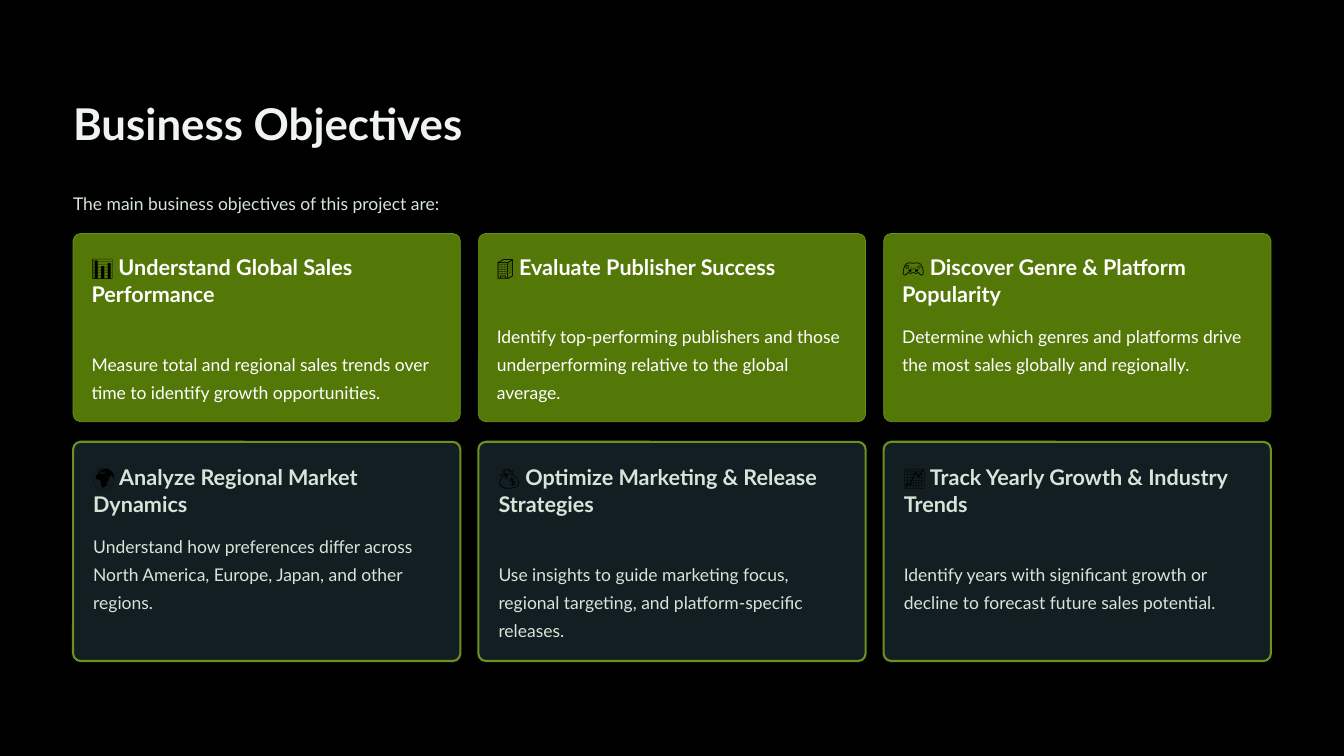
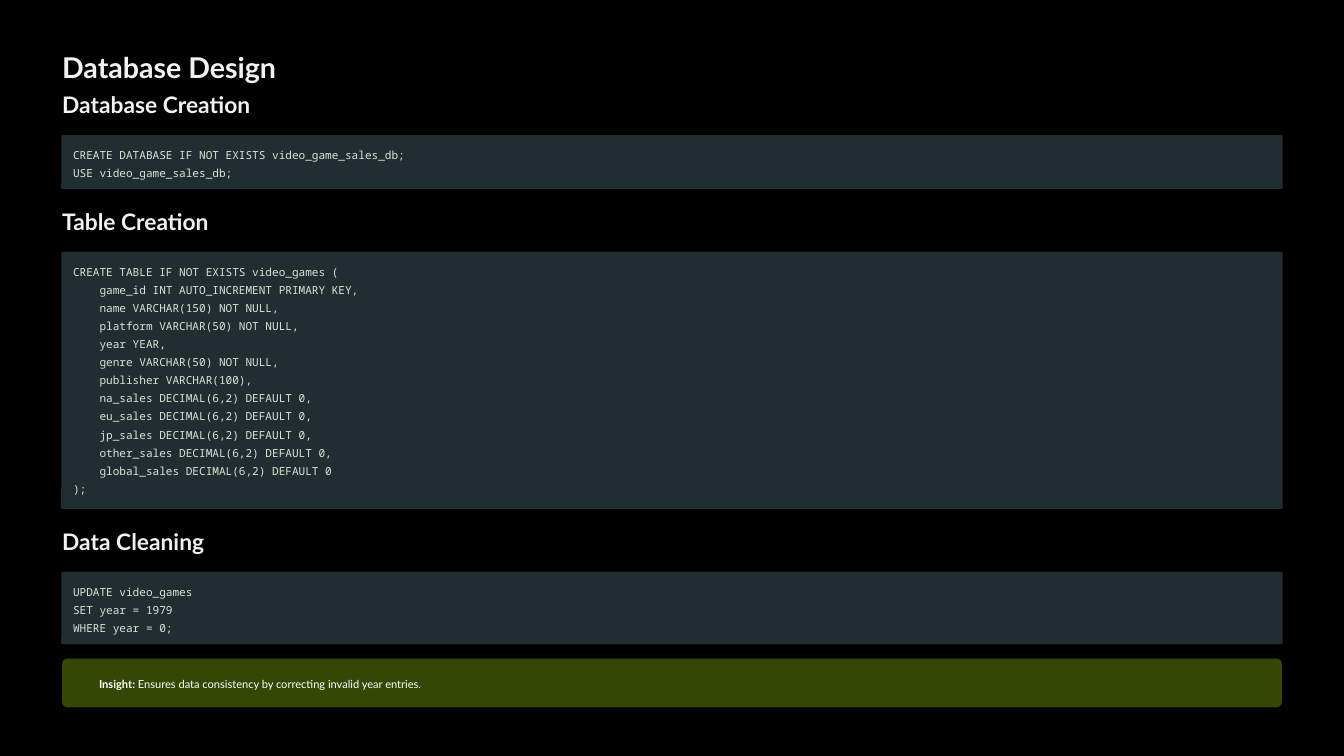
"""Build the business objectives and database design slides."""
from typing import NamedTuple

from lxml.etree import SubElement
from pptx import Presentation
from pptx.dml.color import RGBColor
from pptx.enum.shapes import MSO_SHAPE
from pptx.oxml.ns import qn
from pptx.util import Inches, Pt

COLORS = {
    "background": "000000", "title": "F0F4F1", "text": "D7E5D8", "white": "FFFFFF",
    "icon": "000000", "green": "547808", "border": "6D9121", "dark": "152025",
    "code": "222D32", "insight": "334805",
}
MARGIN, CONTENT_W = 0.87, 14.26
CARD_W, CARD_RADIUS = 4.61, 0.09
PANEL_X, PANEL_W, PANEL_RADIUS = 0.74, 14.52, 0.06
CODE_LINE_H, CODE_PAD = 0.22, 0.1


class Style(NamedTuple):
    """Font and line spacing of a kind of text."""
    size: float
    spacing: float
    bold: bool = False
    font: str = "Lato"


class Segment(NamedTuple):
    """Stretch of text that differs from its paragraph."""
    text: str
    color: str
    bold: bool | None = None


class Card(NamedTuple):
    """Objective with its icon, heading, heading height and description."""
    icon: str
    heading: str
    heading_h: float
    body: str


class CardRow(NamedTuple):
    """Row of cards that share one look."""
    top: float
    height: float
    pad: float
    fill: str
    opacity: int
    line_w: float
    color: str
    cards: list[Card]


class CodeSection(NamedTuple):
    """Heading with the code beneath it."""
    heading: str
    heading_w: float
    code: str


TITLE = Style(37.5, 47, True)
BODY = Style(15, 24)
CARD_HEADING = Style(18.5, 23.5, True)
SMALL_TITLE = Style(24.5, 30.5, True)
SECTION = Style(19.5, 24.5, True)
CODE = Style(9.5, 15.5, font="Noto Sans Mono")
INSIGHT = Style(9.5, 15.5)

CARD_ROWS = [
    CardRow(2.78, 2.24, 0.22, "green", 100, 0.6, "white", [
        Card("📊", "Understand Global Sales Performance", 1,
             "Measure total and regional sales trends over time to identify growth opportunities."),
        Card("🏢", "Evaluate Publisher Success", 0.67,
             "Identify top-performing publishers and those underperforming relative to the global average."),
        Card("🎮", "Discover Genre & Platform Popularity", 0.67,
             "Determine which genres and platforms drive the most sales globally and regionally."),
    ]),
    CardRow(5.26, 2.61, 0.24, "dark", 95, 1.8, "text", [
        Card("🌍", "Analyze Regional Market Dynamics", 0.67,
             "Understand how preferences differ across North America, Europe, Japan, and other regions."),
        Card("💰", "Optimize Marketing & Release Strategies", 1,
             "Use insights to guide marketing focus, regional targeting, and platform-specific releases."),
        Card("📈", "Track Yearly Growth & Industry Trends", 1,
             "Identify years with significant growth or decline to forecast future sales potential."),
    ]),
]

CODE_SECTIONS = [
    CodeSection("Database Creation", 4.19, """\
CREATE DATABASE IF NOT EXISTS video_game_sales_db;
USE video_game_sales_db;"""),
    CodeSection("Table Creation", 3.23, """\
CREATE TABLE IF NOT EXISTS video_games (
    game_id INT AUTO_INCREMENT PRIMARY KEY,
    name VARCHAR(150) NOT NULL,
    platform VARCHAR(50) NOT NULL,
    year YEAR,
    genre VARCHAR(50) NOT NULL,
    publisher VARCHAR(100),
    na_sales DECIMAL(6,2) DEFAULT 0,
    eu_sales DECIMAL(6,2) DEFAULT 0,
    jp_sales DECIMAL(6,2) DEFAULT 0,
    other_sales DECIMAL(6,2) DEFAULT 0,
    global_sales DECIMAL(6,2) DEFAULT 0
);"""),
    CodeSection("Data Cleaning", 3.13, """\
UPDATE video_games
SET year = 1979
WHERE year = 0;"""),
]


def rgb(name: str) -> RGBColor:
    """Look up a named colour."""
    return RGBColor.from_string(COLORS[name])


def add_slide(prs):
    """Add a blank slide with the shared background."""
    s = prs.slides.add_slide(prs.slide_layouts[6])
    s.background.fill.solid()
    s.background.fill.fore_color.rgb = rgb("background")
    return s


def add_text(s, x: float, y: float, w: float, h: float, style: Style,
             paragraphs: list[list[Segment]], wrap: bool = True) -> None:
    """Add a text box without insets."""
    tf = s.shapes.add_textbox(Inches(x), Inches(y), Inches(w), Inches(h)).text_frame
    tf.margin_left = tf.margin_top = tf.margin_right = tf.margin_bottom = 0
    tf.word_wrap = wrap
    for i, segments in enumerate(paragraphs):
        p = tf.add_paragraph() if i else tf.paragraphs[0]
        p.line_spacing = Pt(style.spacing)
        p.font.name, p.font.size, p.font.bold = style.font, Pt(style.size), style.bold
        for segment in segments:
            r = p.add_run()
            r.text = segment.text
            r.font.color.rgb = rgb(segment.color)
            if segment.bold is not None:
                r.font.bold = segment.bold


def add_panel(s, x: float, y: float, w: float, h: float, radius: float, fill: str,
              line_w: float = 0, opacity: int = 100) -> None:
    """Add a rounded panel with an optional border."""
    sp = s.shapes.add_shape(MSO_SHAPE.ROUNDED_RECTANGLE,
                            Inches(x), Inches(y), Inches(w), Inches(h))
    sp.adjustments[0] = radius / h
    sp.shadow.inherit = False
    sp.fill.solid()
    sp.fill.fore_color.rgb = rgb(fill)
    if opacity < 100:
        color = sp.fill._xPr.find(f"{qn('a:solidFill')}/{qn('a:srgbClr')}")
        SubElement(color, qn("a:alpha"), val=str(opacity * 1000))
    if line_w:
        sp.line.color.rgb = rgb("border")
        sp.line.width = Pt(line_w)
    else:
        sp.line.fill.background()


def add_card(s, x: float, row: CardRow, card: Card) -> None:
    """Draw one objective card."""
    add_panel(s, x, row.top, CARD_W, row.height, CARD_RADIUS, row.fill, row.line_w, row.opacity)
    left, top, w = x + row.pad, row.top + row.pad, CARD_W - 2 * row.pad
    add_text(s, left, top, w, card.heading_h, CARD_HEADING,
             [[Segment(card.icon, "icon"), Segment(f" {card.heading}", row.color)]])
    add_text(s, left, top + card.heading_h + 0.13, w, 1.01, BODY,
             [[Segment(card.body, row.color)]])


def add_code_section(s, y: float, section: CodeSection) -> float:
    """Draw a heading and its code panel, and return the panel's bottom."""
    add_text(s, PANEL_X, y, section.heading_w, 0.34, SECTION,
             [[Segment(section.heading, "title")]], wrap=False)
    lines = section.code.splitlines()
    top, text_h = y + 0.54, len(lines) * CODE_LINE_H
    h = text_h + 2 * CODE_PAD
    for outset, radius in ((0, PANEL_RADIUS), (0.01, 0.02)):
        add_panel(s, PANEL_X - outset, top, PANEL_W + 2 * outset, h, radius, "code")
    add_text(s, MARGIN, top + CODE_PAD, CONTENT_W, text_h, CODE,
             [[Segment(line, "text")] for line in lines])
    return top + h


def build_objectives(prs) -> None:
    """Build the grid of business objectives."""
    s = add_slide(prs)
    add_text(s, MARGIN, 1.13, 8.34, 0.66, TITLE,
             [[Segment("Business Objectives", "title")]], wrap=False)
    add_text(s, MARGIN, 2.21, CONTENT_W, 0.34, BODY,
             [[Segment("The main business objectives of this project are:", "text")]], wrap=False)
    for row in CARD_ROWS:
        pitch = (CONTENT_W - CARD_W) / (len(row.cards) - 1)
        for column, card in enumerate(row.cards):
            add_card(s, MARGIN + column * pitch, row, card)


def build_database(prs) -> None:
    """Build the database design slide."""
    s = add_slide(prs)
    add_text(s, PANEL_X, 0.58, 4.74, 0.43, SMALL_TITLE,
             [[Segment("Database Design", "title")]], wrap=False)
    y = 1.07
    for section in CODE_SECTIONS:
        y = add_code_section(s, y, section) + 0.21
    add_panel(s, PANEL_X, 7.84, PANEL_W, 0.58, PANEL_RADIUS, "insight")
    add_text(s, 1.18, 8.01, 13.94, 0.22, INSIGHT,
             [[Segment("Insight:", "white", True),
               Segment(" Ensures data consistency by correcting invalid year entries.", "white")]],
             wrap=False)


def main() -> None:
    """Build and save the presentation."""
    prs = Presentation()
    prs.slide_width, prs.slide_height = Inches(16), Inches(9)
    build_objectives(prs)
    build_database(prs)
    prs.save("out.pptx")


if __name__ == "__main__":
    main()
